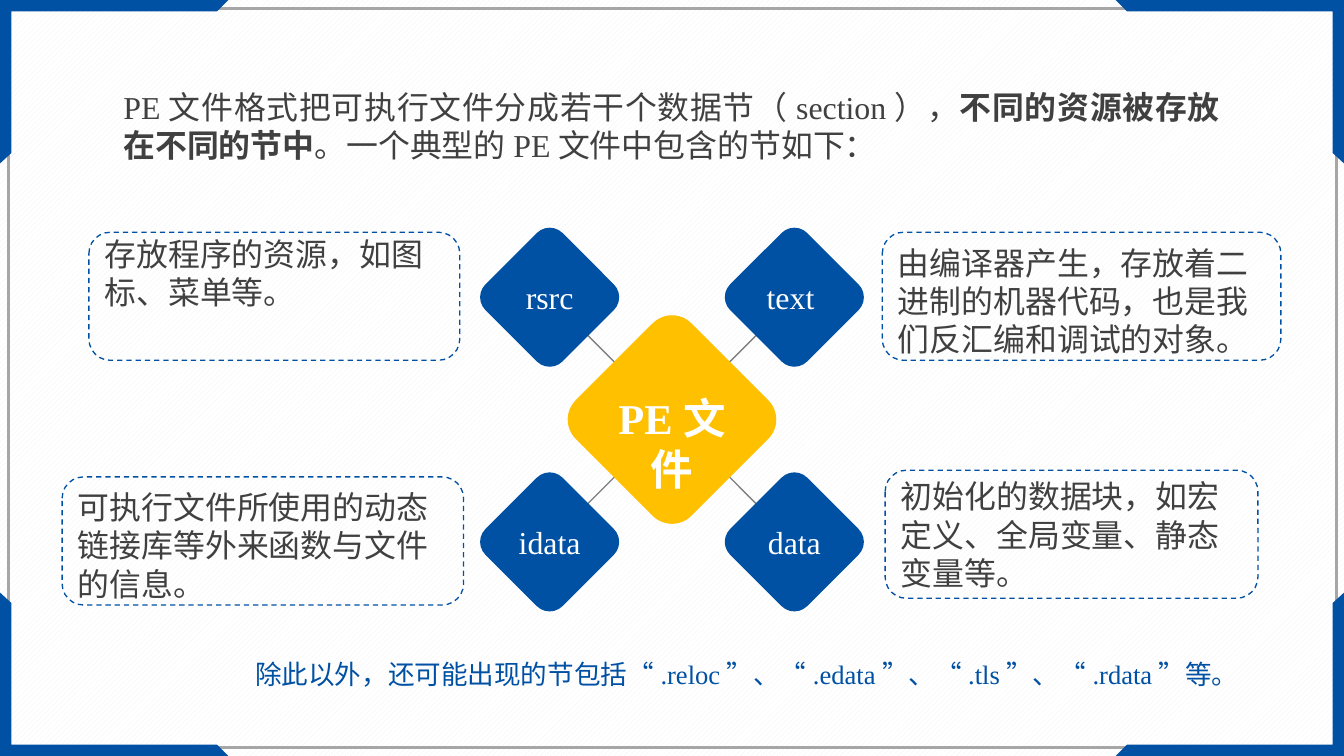
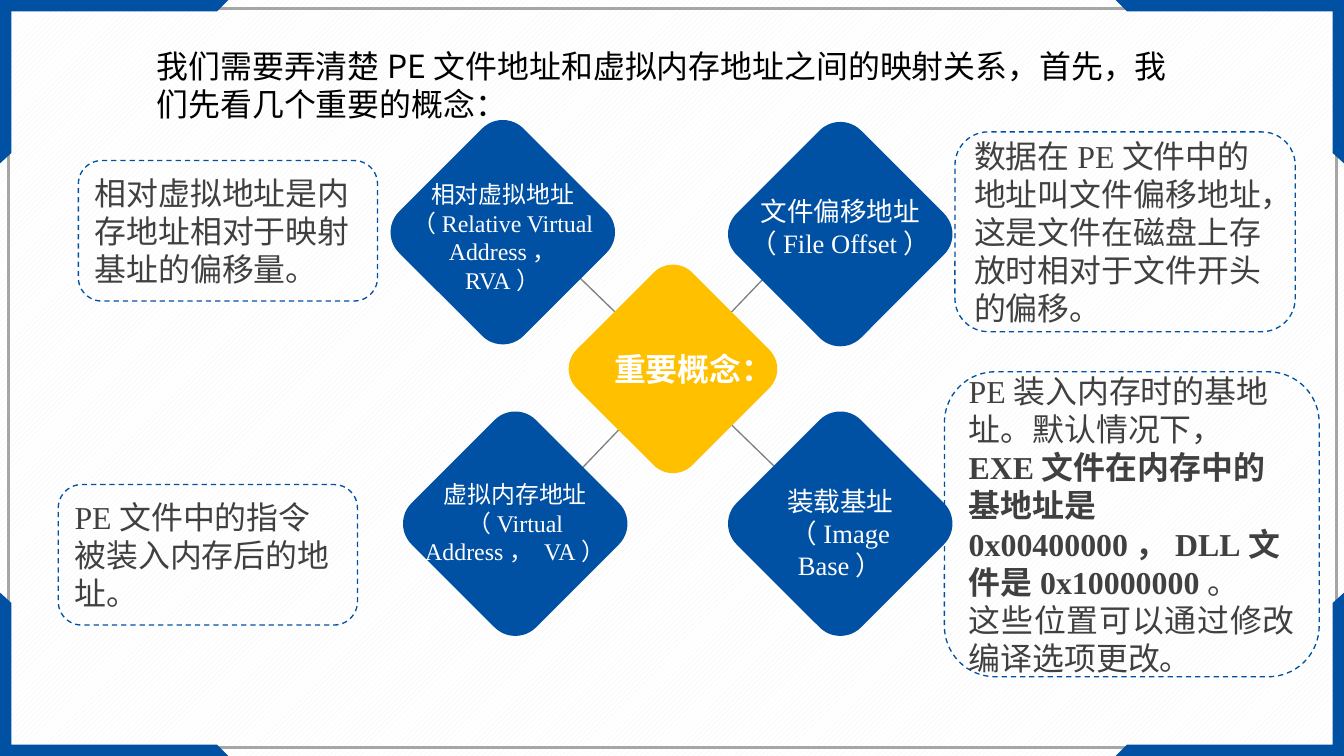
from dataclasses import dataclass

import pptx
import pptx.dml.color
import pptx.enum.dml
import pptx.enum.lang
import pptx.enum.shapes
import pptx.enum.text
import pptx.oxml
import pptx.oxml.ns
import pptx.util

Inches = pptx.util.Inches
Pt = pptx.util.Pt
Align = pptx.enum.text.PP_ALIGN
Anchor = pptx.enum.text.MSO_ANCHOR
Kind = pptx.enum.shapes.MSO_SHAPE

# Shared look
WIDE, HIGH = 14.06, 7.91
BLUE, GOLD, WHITE, BLACK = "0050A3", "FFC000", "FFFFFF", "000000"
INK, GRAY, FRAME, HATCH = "404040", "808080", "A6A6A6", "F2F2F2"
SERIF, SANS = "Times New Roman", "Noto Sans CJK SC"
PITCH = 1.2


@dataclass
class Run:
    text: str
    bold: bool = False
    font: str = SERIF


@dataclass
class Para:
    runs: list[Run]
    align: Align = Align.LEFT


@dataclass
class Gem:
    """A rounded diamond by its centre, with its label's top and width."""
    x: float
    y: float
    side: float
    label: str
    size: int
    top: float
    width: float
    shift: float = 0
    fill: str = BLUE
    bold: bool = False


@dataclass
class Note:
    """A dashed box with an explanation."""
    left: float
    top: float
    width: float
    height: float
    paras: list[Para]
    anchor: Anchor = Anchor.MIDDLE
    foot: float = 0.05


@dataclass
class Link:
    x1: float
    y1: float
    x2: float
    y2: float


def color(code: str) -> pptx.dml.color.RGBColor:
    return pptx.dml.color.RGBColor.from_string(code)


def plain(text: str) -> list[Para]:
    return [Para([Run(text)])]


def paint(shape, fill: str) -> None:
    shape.shadow.inherit = False
    shape.fill.solid()
    shape.fill.fore_color.rgb = color(fill)
    shape.line.fill.background()


def edge(shape, code: str, width: float) -> None:
    shape.shadow.inherit = False
    shape.fill.background()
    shape.line.color.rgb = color(code)
    shape.line.width = Pt(width)


def write(frame, paras: list[Para], size: int, code: str) -> None:
    frame.word_wrap = True
    for i, para in enumerate(paras):
        line = frame.paragraphs[0] if i == 0 else frame.add_paragraph()
        line.alignment = para.align
        line.line_spacing = Pt(size * PITCH)
        for part in para.runs:
            run = line.add_run()
            run.text = part.text
            font = run.font
            font.size, font.bold, font.name = Pt(size), part.bold, part.font
            font.color.rgb = color(code)
            font.language_id = pptx.enum.lang.MSO_LANGUAGE_ID.SIMPLIFIED_CHINESE
            asian = pptx.oxml.parse_xml(
                f'<a:ea {pptx.oxml.ns.nsdecls("a")} typeface="{SANS}"/>')
            run._r.get_or_add_rPr().append(asian)


def add_text(slide, left: float, top: float, width: float, height: float,
             paras: list[Para], size: int, code: str, side: float = 0.1) -> None:
    box = slide.shapes.add_textbox(
        Inches(left), Inches(top), Inches(width), Inches(height))
    frame = box.text_frame
    frame.margin_left = frame.margin_right = Inches(side)
    write(frame, paras, size, code)


def add_link(slide, link: Link) -> None:
    line = slide.shapes.add_connector(
        pptx.enum.shapes.MSO_CONNECTOR.STRAIGHT,
        Inches(link.x1), Inches(link.y1), Inches(link.x2), Inches(link.y2))
    line.line.color.rgb = color(GRAY)
    line.line.width = Pt(1)
    line._element.spPr.append(pptx.oxml.parse_xml(
        f'<a:effectLst {pptx.oxml.ns.nsdecls("a")}/>'))


def add_gem(slide, gem: Gem) -> None:
    half = gem.side / 2
    shape = slide.shapes.add_shape(
        Kind.ROUNDED_RECTANGLE, Inches(gem.x - half), Inches(gem.y - half),
        Inches(gem.side), Inches(gem.side))
    shape.rotation = 45
    paint(shape, gem.fill)
    label = Para([Run(gem.label, gem.bold)], Align.CENTER)
    add_text(slide, gem.x + gem.shift - gem.width / 2, gem.top, gem.width, 0.5,
             [label], gem.size, WHITE, 0.09)


def add_note(slide, note: Note) -> None:
    shape = slide.shapes.add_shape(
        Kind.ROUNDED_RECTANGLE, Inches(note.left), Inches(note.top),
        Inches(note.width), Inches(note.height))
    edge(shape, BLUE, 1)
    shape.line.dash_style = pptx.enum.dml.MSO_LINE.DASH
    frame = shape.text_frame
    frame.vertical_anchor = note.anchor
    frame.margin_bottom = Inches(note.foot)
    write(frame, note.paras, 24, INK)


def add_frame(slide) -> None:
    # Thin frame
    rect = slide.shapes.add_shape(
        Kind.RECTANGLE, Inches(0.09), Inches(0.09), Inches(13.89), Inches(7.73))
    edge(rect, FRAME, 2)
    # Corner brackets, mirrored from the top left one
    band = [(0, 0), (2.39, 0), (2.27, 0.12), (0.12, 0.12), (0.12, 1.6), (0, 1.71)]
    for right in (False, True):
        for low in (False, True):
            dots = [(Inches(WIDE - x if right else x),
                     Inches(HIGH - y if low else y)) for x, y in band]
            path = slide.shapes.build_freeform(*dots[0])
            path.add_line_segments(dots[1:], close=True)
            paint(path.convert_to_shape(), BLUE)


def add_page(deck, links: list[Link], gems: list[Gem], notes: list[Note]):
    slide = deck.slides.add_slide(deck.slide_layouts[6])
    add_frame(slide)
    for link in links:
        add_link(slide, link)
    for gem in gems:
        add_gem(slide, gem)
    for note in notes:
        add_note(slide, note)
    return slide


def add_parts(deck) -> None:
    """Sections of a PE file."""
    x, y, gap = 7.03, 4.39, 1.28
    near, far = 0.48, 0.96
    signs = [(-1, -1), (1, -1), (1, 1), (-1, 1)]
    links = [Link(x + a * near, y + b * near, x + a * far, y + b * far)
             for a, b in signs]
    names = [("rsrc", 0), ("text", -0.04), ("data", 0), ("idata", 0)]
    gems = [Gem(x + a * gap, y + b * gap, 1.14, name, 24,
                y + b * gap - 0.25, 1.38, shift)
            for (a, b), (name, shift) in zip(signs, names)]
    gems.append(Gem(x, y, 1.71, "PE文件", 32, 4.05, 1.65, fill=GOLD, bold=True))
    notes = [
        Note(9.23, 2.43, 4.17, 1.34, plain(
            "由编译器产生，存放着二进制的机器代码，也是我们反汇编和调试的对象。"),
            Anchor.TOP),
        Note(9.26, 4.92, 3.9, 1.34, plain(
            "初始化的数据块，如宏定义、全局变量、静态变量等。")),
        Note(0.65, 4.99, 4.2, 1.34, plain(
            "可执行文件所使用的动态链接库等外来函数与文件的信息。"), Anchor.TOP),
        Note(0.93, 2.43, 3.88, 1.34, plain(
            "存放程序的资源，如图标、菜单等。"), Anchor.BOTTOM, 0.45),
    ]
    slide = add_page(deck, links, gems, notes)

    # Lead text
    lead = Para([
        Run("PE文件格式把可执行文件分成若干个数据节（section），"),
        Run("不同的资源被存放在不同的节中", True),
        Run("。一个典型的PE文件中包含的节如下："),
    ], Align.JUSTIFY)
    add_text(slide, 1.2, 0.87, 11.65, 0.9, [lead], 24, INK, 0.09)

    # Closing remark
    runs = []
    start = "除此以外，还可能出现的节包括"
    for name in (".reloc", ".edata", ".tls", ".rdata"):
        runs += [Run(f"{start}“{name}"), Run("”", font=SANS)]
        start = "、"
    runs.append(Run("等。"))
    add_text(slide, 2.57, 6.83, 10.84, 0.44, [Para(runs)], 20, BLUE)


def add_terms(deck) -> None:
    """Address terms."""
    links = [Link(8.25, 2.64, 5.83, 5.17), Link(8.4, 5.17, 5.79, 2.64)]
    side, width = 1.84, 2.13
    gems = [
        Gem(7.04, 3.86, 1.71, "重要概念：", 24, 3.61, 1.65, 0.05, GOLD, True),
        Gem(5.26, 2.43, side, "相对虚拟地址（Relative Virtual Address， RVA）",
            18, 1.83, width),
        Gem(5.39, 5.48, side, "虚拟内存地址（Virtual Address， VA）",
            18, 4.97, width),
        Gem(8.79, 5.48, side, "装载基址（Image Base）", 20, 5.03, width),
        Gem(8.79, 2.45, side, "文件偏移地址（File Offset）", 20, 1.99, width),
    ]
    base = [
        Para([
            Run("PE装入内存时的基地址。默认情况下，"),
            Run("EXE文件在内存中的基地址是0x00400000，DLL文件是0x10000000", True),
            Run("。"),
        ]),
        Para([Run("这些位置可以通过修改编译选项更改。")], Align.JUSTIFY),
    ]
    notes = [
        Note(9.99, 1.38, 3.56, 2.09, plain(
            "数据在PE文件中的地址叫文件偏移地址，"
            "这是文件在磁盘上存放时相对于文件开头的偏移。")),
        Note(9.88, 3.89, 3.92, 3.19, base),
        Note(0.61, 5.07, 3.13, 1.47, plain("PE文件中的指令被装入内存后的地址。")),
        Note(0.82, 1.68, 3.13, 1.47, plain(
            "相对虚拟地址是内存地址相对于映射基址的偏移量。")),
    ]
    slide = add_page(deck, links, gems, notes)
    lead = Run("我们需要弄清楚PE文件地址和虚拟内存地址之间的映射关系，"
               "首先，我们先看几个重要的概念：", font=SANS)
    add_text(slide, 1.54, 0.44, 10.98, 0.91, [Para([lead])], 24, BLACK)


def main() -> None:
    deck = pptx.Presentation()
    deck.slide_width, deck.slide_height = Inches(WIDE), Inches(HIGH)
    # Hatched background for all slides
    fill = deck.slide_master.background.fill
    fill.patterned()
    fill.pattern = pptx.enum.dml.MSO_PATTERN.WIDE_UPWARD_DIAGONAL
    fill.fore_color.rgb = color(HATCH)
    fill.back_color.rgb = color(WHITE)
    add_parts(deck)
    add_terms(deck)
    deck.save("out.pptx")


if __name__ == "__main__":
    main()
